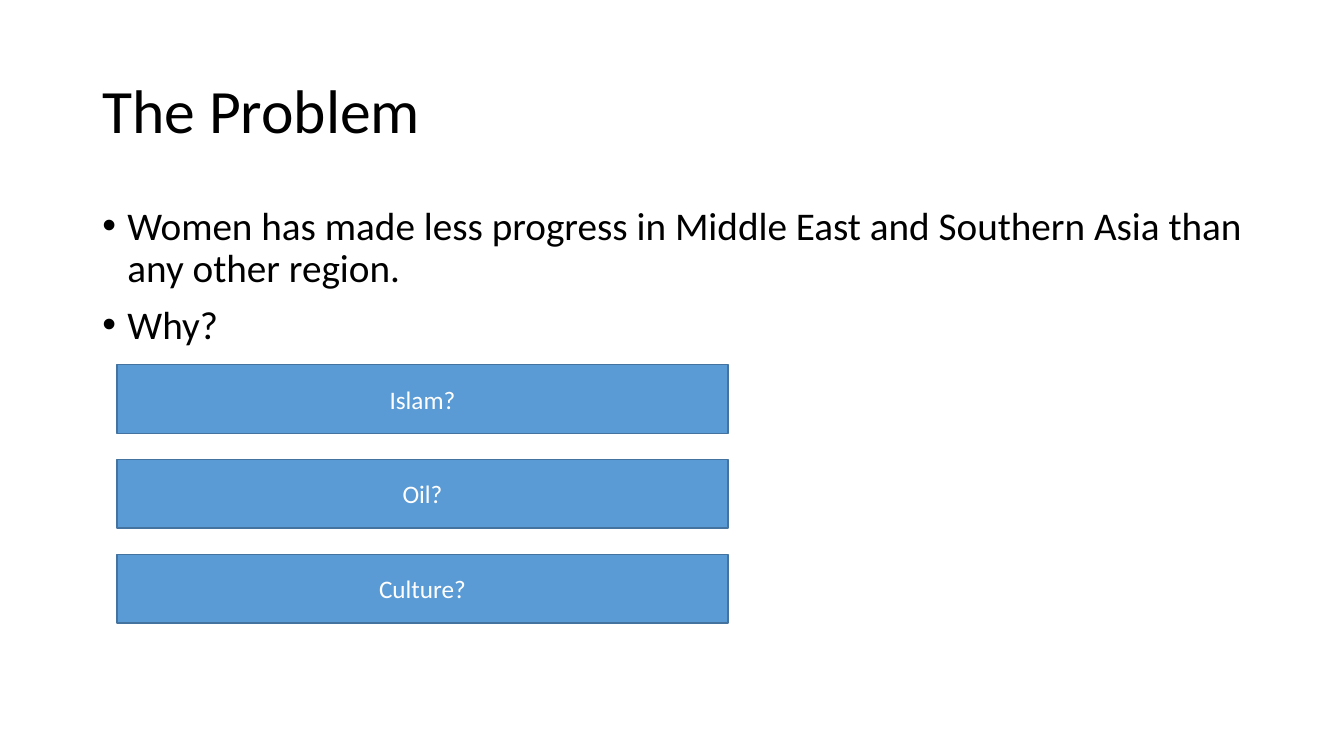
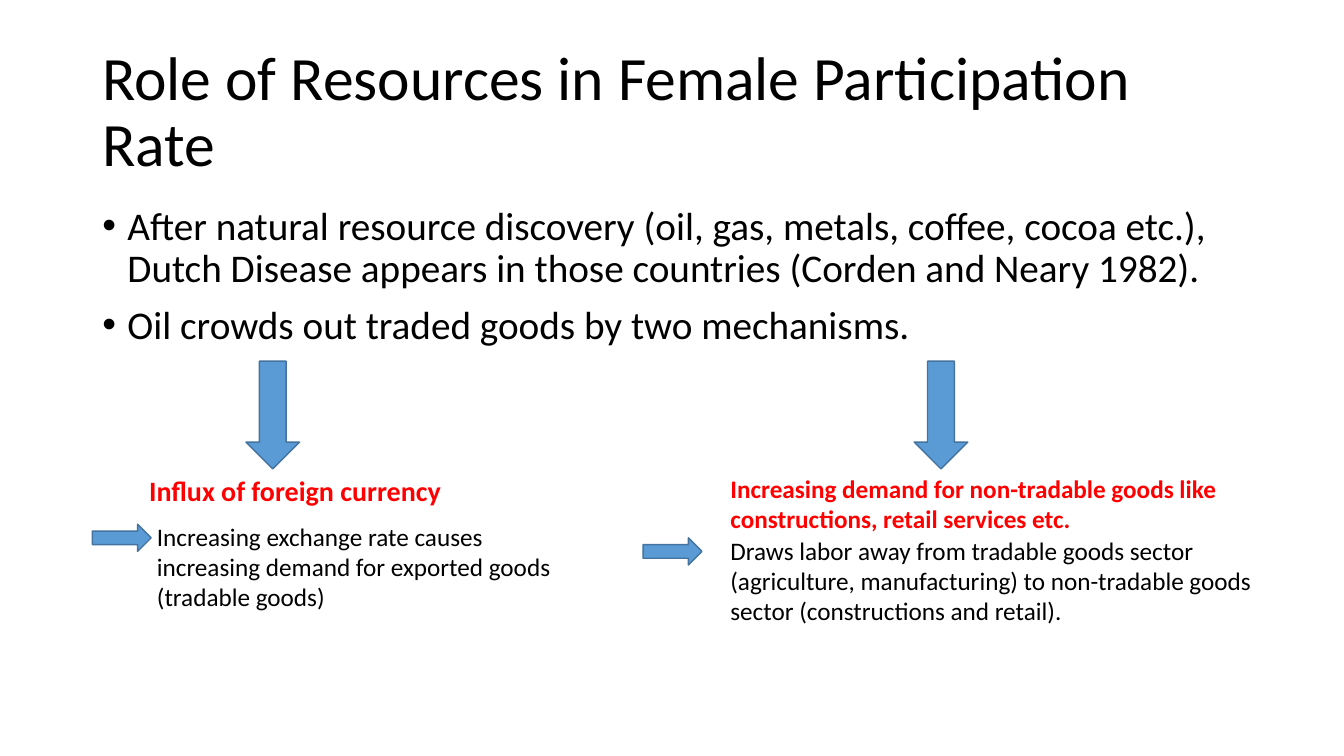
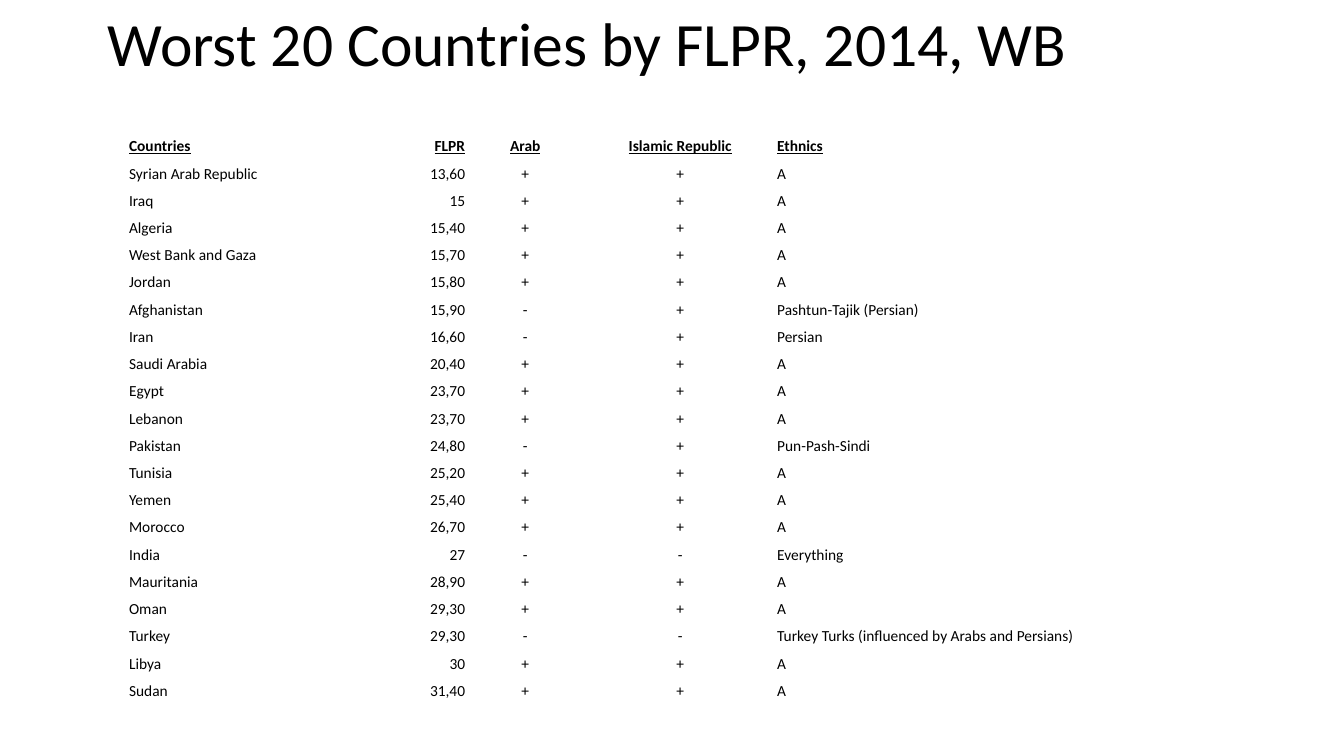
"""Build three slides on women's labour participation and natural resources."""
from lxml import etree
from pptx import Presentation
from pptx.dml.color import RGBColor
from pptx.enum import shapes, text
from pptx.oxml import ns
from pptx.util import Pt

FONT = "Calibri"
BLACK = RGBColor(0, 0, 0)
WHITE = RGBColor(255, 255, 255)
RED = RGBColor(255, 0, 0)
BLUE = RGBColor(0x5B, 0x9B, 0xD5)
DARK_BLUE = RGBColor(0x43, 0x73, 0x9E)
LEFT, CENTER, RIGHT = text.PP_ALIGN.LEFT, text.PP_ALIGN.CENTER, text.PP_ALIGN.RIGHT
MIDDLE = text.MSO_ANCHOR.MIDDLE
DOWN = shapes.MSO_SHAPE.DOWN_ARROW
ACROSS = shapes.MSO_SHAPE.RIGHT_ARROW

TITLE_AREA = (66, 29, 828, 104.5)
TABLE_TITLE_AREA = (70, 0, 828, 66)
BODY_AREA = (66, 144, 828, 343)

PROBLEM = [
    "Women has made less progress in Middle East and Southern Asia than any other region.",
    "Why?",
]
CAUSES = ["Islam?", "Oil?", "Culture?"]
CAUSE_AREA = (83.5, 260.5, 436.5, 49)
CAUSE_PITCH = 67.7

RESOURCES = [
    "After natural resource discovery (oil, gas, metals, coffee, cocoa etc.), "
    "Dutch Disease appears in those countries (Corden and Neary 1982).",
    "Oil crowds out traded goods by two mechanisms.",
]
MECHANISMS = [
    {
        "down": (175.7, 258), "across": (66, 374.5),
        "heading": ("Influx of foreign currency", 20, (99.4, 334.8, 293, 31.5)),
        "effect": ("Increasing exchange rate causes increasing demand for exported goods "
                   "(tradable goods)", 18, (105, 368.6, 301.7, 72.7)),
    },
    {
        "down": (653, 258), "across": (459.4, 384.2),
        "heading": ("Increasing demand for non-tradable goods like constructions, "
                    "retail services etc.", 18, (514.6, 334.3, 439, 51)),
        "effect": ("Draws labor away from tradable goods sector (agriculture, manufacturing) "
                   "to non-tradable goods sector (constructions and retail).", 18,
                   (514.6, 378.7, 394, 72.7)),
    },
]
DOWN_SIZE = (38.3, 77)
ACROSS_SIZE = (42, 19.4)

COLUMNS = [
    ("Countries", 175, LEFT), ("FLPR", 66.5, RIGHT), ("Arab", 84.5, CENTER),
    ("Islamic Republic", 137, CENTER), ("Ethnics", 320.5, LEFT),
]
COUNTRIES = [
    ("Syrian Arab Republic", "13,60", "+", "+", "A"),
    ("Iraq", "15", "+", "+", "A"),
    ("Algeria", "15,40", "+", "+", "A"),
    ("West Bank and Gaza", "15,70", "+", "+", "A"),
    ("Jordan", "15,80", "+", "+", "A"),
    ("Afghanistan", "15,90", "-", "+", "Pashtun-Tajik (Persian)"),
    ("Iran", "16,60", "-", "+", "Persian"),
    ("Saudi Arabia", "20,40", "+", "+", "A"),
    ("Egypt", "23,70", "+", "+", "A"),
    ("Lebanon", "23,70", "+", "+", "A"),
    ("Pakistan", "24,80", "-", "+", "Pun-Pash-Sindi"),
    ("Tunisia", "25,20", "+", "+", "A"),
    ("Yemen", "25,40", "+", "+", "A"),
    ("Morocco", "26,70", "+", "+", "A"),
    ("India", "27", "-", "-", "Everything"),
    ("Mauritania", "28,90", "+", "+", "A"),
    ("Oman", "29,30", "+", "+", "A"),
    ("Turkey", "29,30", "-", "-", "Turkey Turks (influenced by Arabs and Persians)"),
    ("Libya", "30", "+", "+", "A"),
    ("Sudan", "31,40", "+", "+", "A"),
]
TABLE_CORNER = (91.5, 92)
ROW_HEIGHT = 19.45


def points(values):
    return [Pt(value) for value in values]


def write(paragraph, words, size, color=BLACK, bold=False, underline=False):
    run = paragraph.add_run()
    run.text = words
    font = run.font
    font.name, font.size, font.bold, font.underline = FONT, Pt(size), bold, underline
    font.color.rgb = color


def add_text(slide, area, lines, size, color=BLACK, bold=False, spacing=1.0, bullets=False, anchor=None):
    frame = slide.shapes.add_textbox(*points(area)).text_frame
    frame.word_wrap = True
    frame.vertical_anchor = anchor
    for index, line in enumerate(lines):
        paragraph = frame.add_paragraph() if index else frame.paragraphs[0]
        paragraph.line_spacing = spacing
        if index:
            paragraph.space_before = Pt(10)
        if bullets:
            properties = paragraph._p.get_or_add_pPr()
            properties.set("marL", str(Pt(18)))
            properties.set("indent", str(-Pt(18)))
            etree.SubElement(properties, ns.qn("a:buFont"), typeface="Arial")
            etree.SubElement(properties, ns.qn("a:buChar"), char="•")
        write(paragraph, line, size, color, bold)


def add_block(slide, kind, area):
    shape = slide.shapes.add_shape(kind, *points(area))
    shape.shadow.inherit = False
    shape.fill.solid()
    shape.fill.fore_color.rgb = BLUE
    shape.line.color.rgb = DARK_BLUE
    shape.line.width = Pt(1)
    return shape


def add_slide(presentation, title, area=TITLE_AREA, body=None):
    slide = presentation.slides.add_slide(presentation.slide_layouts[6])
    add_text(slide, area, [title], 44, spacing=0.9, anchor=MIDDLE)
    if body:
        add_text(slide, BODY_AREA, body, 28, spacing=0.9, bullets=True)
    return slide


def add_causes(slide):
    left, top, width, height = CAUSE_AREA
    for index, cause in enumerate(CAUSES):
        area = (left, top + index * CAUSE_PITCH, width, height)
        frame = add_block(slide, shapes.MSO_SHAPE.RECTANGLE, area).text_frame
        frame.vertical_anchor = MIDDLE
        frame.paragraphs[0].alignment = CENTER
        write(frame.paragraphs[0], cause, 18, WHITE)


def add_mechanisms(slide):
    for mechanism in MECHANISMS:
        add_block(slide, DOWN, mechanism["down"] + DOWN_SIZE)
        heading, size, area = mechanism["heading"]
        add_text(slide, area, [heading], size, RED, bold=True)
        add_block(slide, ACROSS, mechanism["across"] + ACROSS_SIZE)
        effect, size, area = mechanism["effect"]
        add_text(slide, area, [effect], size)


def add_countries(slide):
    names, widths, alignments = zip(*COLUMNS)
    rows = [names] + COUNTRIES
    area = TABLE_CORNER + (sum(widths), ROW_HEIGHT * len(rows))
    table = slide.shapes.add_table(len(rows), len(names), *points(area)).table
    table.first_row = table.horz_banding = False
    for column, width in zip(table.columns, widths):
        column.width = Pt(width)
    for row_index, values in enumerate(rows):
        table.rows[row_index].height = Pt(ROW_HEIGHT)
        header = row_index == 0
        for column_index, value in enumerate(values):
            cell = table.cell(row_index, column_index)
            cell.fill.background()
            cell.vertical_anchor = text.MSO_ANCHOR.BOTTOM
            cell.margin_left = cell.margin_right = cell.margin_top = Pt(0.7)
            cell.margin_bottom = 0
            paragraph = cell.text_frame.paragraphs[0]
            paragraph.alignment = alignments[column_index]
            write(paragraph, value, 11, bold=header, underline=header)


def main():
    presentation = Presentation()
    presentation.slide_width, presentation.slide_height = Pt(960), Pt(540)
    add_causes(add_slide(presentation, "The Problem", body=PROBLEM))
    add_mechanisms(add_slide(
        presentation, "Role of Resources in Female Participation Rate", body=RESOURCES))
    add_countries(add_slide(
        presentation, "Worst 20 Countries by FLPR, 2014, WB", TABLE_TITLE_AREA))
    presentation.save("out.pptx")


if __name__ == "__main__":
    main()
